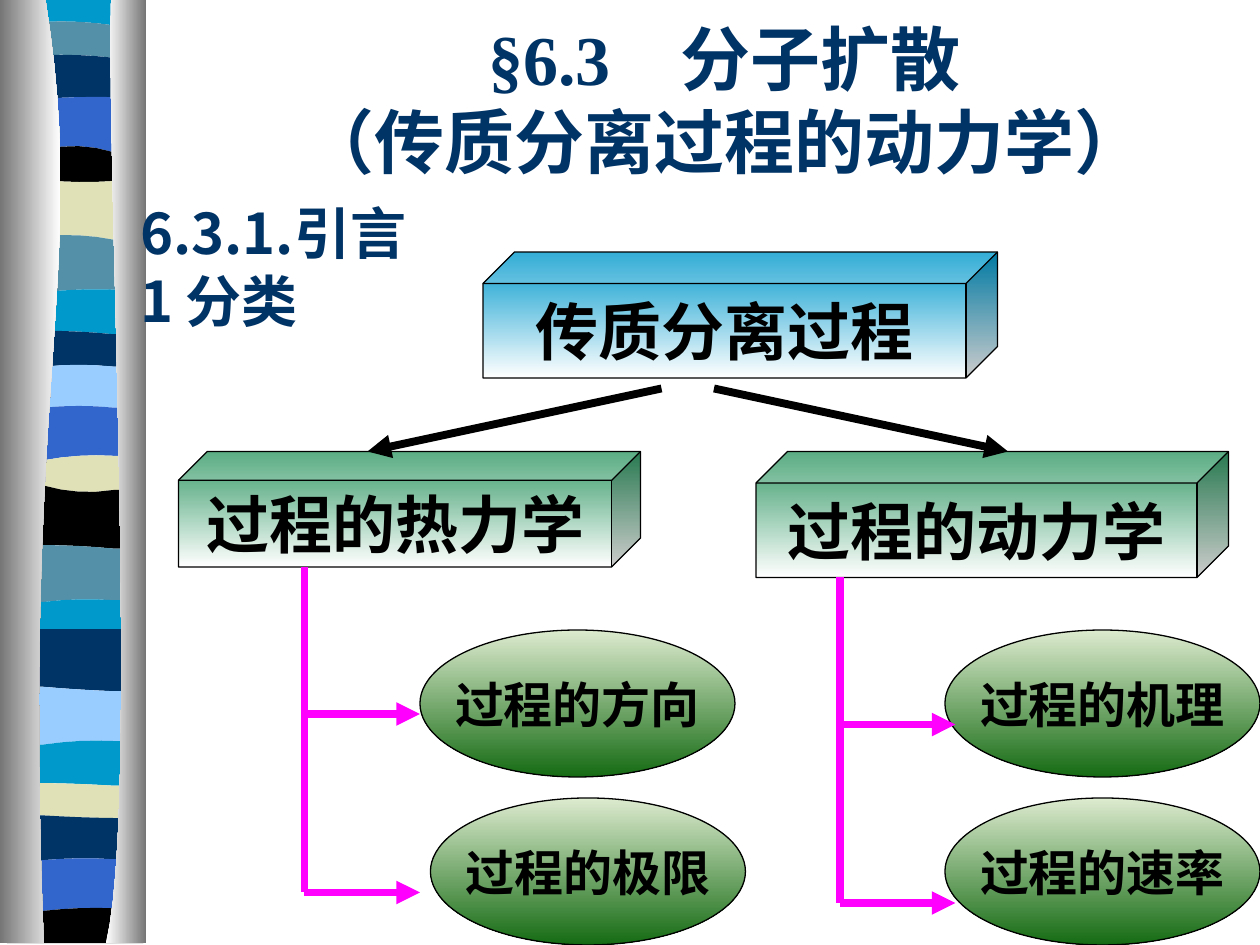
"""Build the slide on molecular diffusion: a tree of topics beside a striped ribbon."""
from dataclasses import dataclass
from typing import NamedTuple

from lxml.etree import SubElement as sub
from pptx import Presentation
from pptx.dml.color import RGBColor as RGB
from pptx.enum.shapes import MSO_CONNECTOR as Link
from pptx.enum.shapes import MSO_SHAPE as Shape
from pptx.enum.text import MSO_ANCHOR as Anchor
from pptx.enum.text import PP_ALIGN as Align
from pptx.oxml.ns import qn
from pptx.util import Pt


@dataclass(frozen=True)
class Theme:
    navy: str = "003366"
    black: str = "000000"
    pink: str = "FF00FF"
    white: str = "FFFFFF"
    grey: str = "767676"
    sky: str = "0099CC"
    teal: str = "5490A8"
    blue: str = "3366CC"
    pale: str = "99CCFF"
    sand: str = "E1E1B7"
    green: str = "339966"
    mint: str = "DDEBCF"
    moss: str = "156B13"
    sans: str = "Noto Sans CJK SC"
    serif: str = "Times New Roman"
    title: int = 40
    box: int = 36
    head: int = 32
    oval: int = 28
    thin: float = 0.75
    thick: float = 4.5


class Spot(NamedTuple):
    x: float
    y: float


class Frame(NamedTuple):
    left: float
    top: float
    width: float
    height: float


class Band(NamedTuple):
    tint: str
    left: float
    mid: float
    right: float


class Node(NamedTuple):
    text: str
    frame: Frame
    kind: Shape
    tints: tuple[str, str]
    size: int


class Branch(NamedTuple):
    x: float
    top: float
    first: float
    last: float


T = Theme()
WIDE, TALL = 720, 540
ARM = 66
DOWN, ACROSS = 270, 0
RIBBON_X = (4, 25, 35, 45, 55, 65, 82)
BANDS = [
    Band(T.sky, 0, 0, 0), Band(T.teal, 12.5, 12.5, 14.5), Band(T.navy, 31.5, 31.5, 33),
    Band(T.blue, 56.5, 55.5, 55.5), Band(T.black, 85.5, 83.5, 87), Band(T.sand, 103, 104, 103.5),
    Band(T.teal, 135, 134.5, 137), Band(T.sky, 167, 165.5, 165.5), Band(T.navy, 189, 189.5, 191),
    Band(T.pale, 209.5, 208.5, 209.5), Band(T.blue, 233, 232, 233), Band(T.sand, 263, 260.5, 260.5),
    Band(T.black, 277.5, 281, 280), Band(T.teal, 311.5, 312, 313.5), Band(T.sky, 344, 342.5, 343),
    Band(T.navy, 359.5, 359.5, 359.5), Band(T.pale, 392.5, 394, 395), Band(T.sky, 425.5, 423.5, 423.5),
    Band(T.sand, 447.5, 448, 449), Band(T.navy, 466, 467, 467.5), Band(T.blue, 491.5, 490.5, 491),
    Band(T.black, 520.5, 519, 519),
]
FLOOR = Band(T.white, 539, 539, 539)
CUBES = [
    Node("传质分离过程", Frame(276, 144, 294, 72), Shape.CUBE, (T.sky, T.white), T.box),
    Node("过程的热力学", Frame(102, 258, 264, 66), Shape.CUBE, (T.green, T.white), T.box),
    Node("过程的动力学", Frame(432, 258, 270, 72), Shape.CUBE, (T.green, T.white), T.box),
]
OVALS = [
    Node(text, Frame(left, top, 180, 84), Shape.OVAL, (T.mint, T.moss), T.oval)
    for text, left, top in (("过程的方向", 240, 360), ("过程的极限", 246, 456),
                            ("过程的机理", 540, 360), ("过程的速率", 540, 456))
]
TREES = [Branch(174, 324, 408, 510), Branch(480, 330, 414, 516)]
SPLITS = [(Spot(378, 222), Spot(210, 258)), (Spot(408, 222), Spot(576, 258))]


def curve(pts: list[Spot], steps: int = 24) -> list[Spot]:
    """Sample a cubic curve from its four control points."""
    def blend(a: float, b: float, c: float, d: float, t: float) -> float:
        """Mix four values at the share t."""
        s = 1 - t
        return s**3 * a + 3 * s * s * t * b + 3 * s * t * t * c + t**3 * d
    xs, ys = zip(*pts)
    return [Spot(blend(*xs, i / steps), blend(*ys, i / steps)) for i in range(steps + 1)]


def edge(band: Band) -> list[Spot]:
    """Return the wavy top edge of a ribbon band."""
    def level(x: float) -> float:
        """Find the height of the edge at x."""
        u = max(-1, min(1, (x - 45) / 20))
        return band.mid + u * (band.right - band.left) / 2 + u * u * (band.left + band.right - 2 * band.mid) / 2
    return [Spot(x, level(x)) for x in RIBBON_X]


def outline(slide, pts: list[Spot]):
    """Draw a closed outline with no line."""
    first, *rest = [(Pt(p.x), Pt(p.y)) for p in pts]
    pen = slide.shapes.build_freeform(*first, scale=1.0)
    pen.add_line_segments(rest, close=True)
    form = pen.convert_to_shape()
    form.shadow.inherit = False
    form.line.fill.background()
    return form


def shade(form, tints: tuple[str, str], angle: int) -> None:
    """Fill a shape with a two-colour gradient."""
    form.fill.gradient()
    form.fill.gradient_angle = angle
    for stop, tint, place in zip(form.fill.gradient_stops, tints, (0, 1)):
        stop.color.rgb = RGB.from_string(tint)
        stop.position = place


def style(run, size: int, tint: str, face: str = T.sans) -> None:
    """Format one run in bold."""
    run.font.size, run.font.bold = Pt(size), True
    run.font.color.rgb = RGB.from_string(tint)
    run.font.name = face
    sub(run.font._element, qn("a:ea")).set("typeface", T.sans)


def draw_ribbon(slide) -> None:
    """Draw the bands and the two shaded panels that hide their ends."""
    for band, below in zip(BANDS, BANDS[1:] + [FLOOR]):
        form = outline(slide, edge(band) + edge(below)[::-1])
        form.fill.solid()
        form.fill.fore_color.rgb = RGB.from_string(band.tint)
    left = curve([Spot(26, 0), Spot(51, 155.5), Spot(12, 213), Spot(25, 539)])
    right = curve([Spot(63.5, 0), Spot(60.5, 90), Spot(80, 465), Spot(60.5, 539)])
    shade(outline(slide, left + [Spot(0, 539), Spot(0, 0)]), (T.grey, T.white), ACROSS)
    shade(outline(slide, right + [Spot(83.5, 539), Spot(83.5, 0)]), (T.white, T.grey), ACROSS)


def draw_node(slide, node: Node) -> None:
    """Draw a shaded shape with its label."""
    form = slide.shapes.add_shape(node.kind, *map(Pt, node.frame))
    form.shadow.inherit = False
    shade(form, node.tints, DOWN)
    form.line.color.rgb = RGB.from_string(T.black)
    form.line.width = Pt(T.thin)
    frame = form.text_frame
    frame.text, frame.word_wrap, frame.vertical_anchor = node.text, False, Anchor.MIDDLE
    frame.paragraphs[0].alignment = Align.CENTER
    style(frame.paragraphs[0].runs[0], node.size, T.black)


def draw_text(slide, text: str, place: Frame, size: int, pitch: float, wrap: bool):
    """Add a navy text box and return its text frame."""
    frame = slide.shapes.add_textbox(*map(Pt, place)).text_frame
    frame.text, frame.word_wrap = text, wrap
    for para in frame.paragraphs:
        para.line_spacing = Pt(pitch)
        for run in para.runs:
            style(run, size, T.navy)
    return frame


def draw_line(slide, start: Spot, end: Spot, tint: str, arrow: bool = True) -> None:
    """Draw a thick line, with an arrowhead if asked."""
    line = slide.shapes.add_connector(Link.STRAIGHT, *map(Pt, (*start, *end)))
    line.line.color.rgb = RGB.from_string(tint)
    line.line.width = Pt(T.thick)
    if arrow:
        sub(line.line._get_or_add_ln(), qn("a:tailEnd")).set("type", "triangle")
    sub(line._element.spPr, qn("a:effectLst"))


def main() -> None:
    """Build and save the slide."""
    deck = Presentation()
    deck.slide_width, deck.slide_height = Pt(WIDE), Pt(TALL)
    slide = deck.slides.add_slide(deck.slide_layouts[6])
    draw_ribbon(slide)
    title = draw_text(slide, "§6.3　分子扩散\v（传质分离过程的动力学）", Frame(108, 30, 612, 54), T.title, 47.5, True)
    title.vertical_anchor = Anchor.MIDDLE
    title.paragraphs[0].alignment = Align.CENTER
    title.paragraphs[0].runs[0].font.name = T.serif
    for node in CUBES + OVALS:
        draw_node(slide, node)
    draw_text(slide, "6.3.1.引言\n1 分类", Frame(73, 110, 174, 84), T.head, 38.5, False)
    for tree in TREES:
        draw_line(slide, Spot(tree.x, tree.top), Spot(tree.x, tree.last), T.pink, False)
        for y in (tree.first, tree.last):
            draw_line(slide, Spot(tree.x, y), Spot(tree.x + ARM, y), T.pink)
    for start, end in SPLITS:
        draw_line(slide, start, end, T.black)
    deck.save("out.pptx")


if __name__ == "__main__":
    main()
